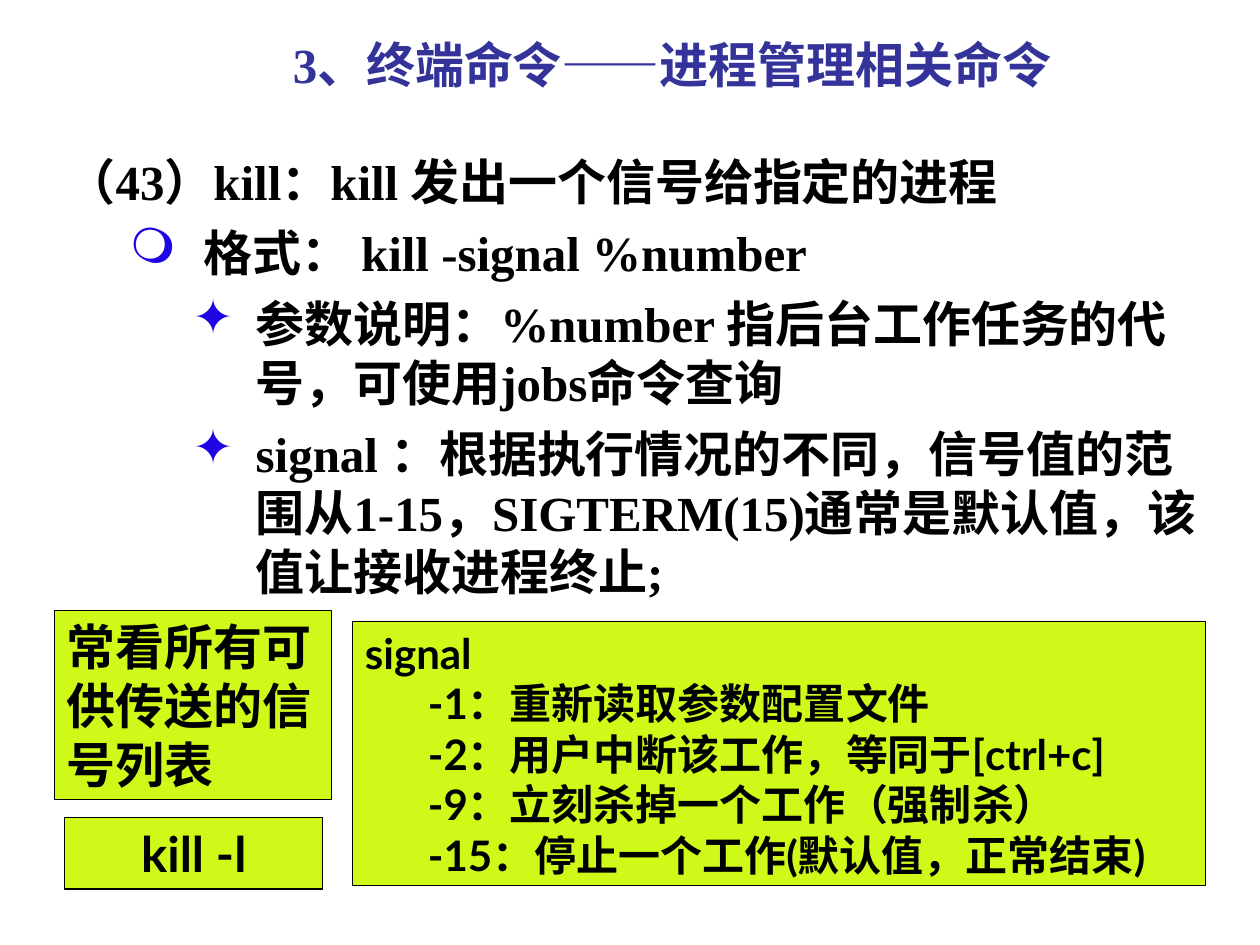
from pptx import Presentation, util as u
from pptx.dml.color import RGBColor
from pptx.enum import shapes, text
from pptx.oxml.ns import qn
from lxml import etree

THEME = {
    "title": "333399", "ink": "000000", "bullet": "1F05E3", "panel": "CEF919",
    "serif": "Times New Roman", "sans": "Lato",
    "large": 28, "small": 24, "gap": 7, "border": 0.75,
}

# Content: (level, text)
TITLE = [(0, "3、终端命令——进程管理相关命令")]
BODY = [
    (0, "（43）kill：kill 发出一个信号给指定的进程"),
    (1, "格式： kill -signal %number"),
    (2, "参数说明：%number 指后台工作任务的代号，可使用jobs命令查询"),
    (2, "signal ：根据执行情况的不同，信号值的范围从1-15，"
        "SIGTERM(15)通常是默认值，该值让接收进程终止;"),
]
SIGNALS = [
    (0, "signal"),
    (1, "-1：重新读取参数配置文件"),
    (1, "-2：用户中断该工作，等同于[ctrl+c]"),
    (1, "-9：立刻杀掉一个工作（强制杀）"),
    (1, "-15：停止一个工作(默认值，正常结束)"),
]
LIST_NOTE = [(0, "常看所有可供传送的信号列表")]
LIST_COMMAND = [(0, "kill -l")]

# Per level: left margin, first-line indent, bullet
BODY_LEVELS = [(42, -42, None), (78, -42, "❍"), (108, -36, "✦")]
PANEL_LEVELS = [(0, 0, None), (36, 0, None)]

# Boxes: left, top, width, height
TITLE_BOX = (48, 15, 672, 43)
BODY_BOX = (31, 83, 669, 385)
SIGNALS_BOX = (201.5, 355, 487.5, 151)
NOTE_BOX = (31, 349, 158.5, 108)
COMMAND_BOX = (37, 467, 147.5, 41)


def set_indent(paragraph, margin, indent, bullet):
    properties = paragraph._p.get_or_add_pPr()
    properties.set("marL", str(u.Pt(margin)))
    properties.set("indent", str(u.Pt(indent)))
    if bullet:
        color = etree.SubElement(properties, qn("a:buClr"))
        etree.SubElement(color, qn("a:srgbClr"), val=THEME["bullet"])
        etree.SubElement(properties, qn("a:buChar"), char=bullet)
    else:
        etree.SubElement(properties, qn("a:buNone"))


def write(shape, lines, levels=PANEL_LEVELS, font="sans", size="large", color="ink",
          align=text.PP_ALIGN.LEFT, anchor=text.MSO_ANCHOR.TOP, gap=0):
    frame = shape.text_frame
    frame.word_wrap = True
    frame.vertical_anchor = anchor
    for index, (level, words) in enumerate(lines):
        paragraph = frame.add_paragraph() if index else frame.paragraphs[0]
        set_indent(paragraph, *levels[level])
        paragraph.level = level
        paragraph.alignment = align
        paragraph.space_before = u.Pt(gap if index else 0)
        run = paragraph.add_run()
        run.text = words
        run.font.name = THEME[font]
        run.font.size = u.Pt(THEME[size])
        run.font.bold = True
        run.font.color.rgb = RGBColor.from_string(THEME[color])


def add_text(slide, box, lines, **style):
    write(slide.shapes.add_textbox(*map(u.Pt, box)), lines, **style)


def add_panel(slide, box, lines, **style):
    panel = slide.shapes.add_shape(shapes.MSO_SHAPE.RECTANGLE, *map(u.Pt, box))
    panel.shadow.inherit = False
    panel.fill.solid()
    panel.fill.fore_color.rgb = RGBColor.from_string(THEME["panel"])
    panel.line.color.rgb = RGBColor.from_string(THEME["ink"])
    panel.line.width = u.Pt(THEME["border"])
    write(panel, lines, **style)
    panel.text_frame.auto_size = text.MSO_AUTO_SIZE.SHAPE_TO_FIT_TEXT


def main():
    presentation = Presentation()
    presentation.slide_width, presentation.slide_height = u.Pt(720), u.Pt(540)
    slide = presentation.slides.add_slide(presentation.slide_layouts[6])

    # Title and command description
    add_text(slide, TITLE_BOX, TITLE, font="serif", color="title",
             align=text.PP_ALIGN.CENTER, anchor=text.MSO_ANCHOR.MIDDLE)
    add_text(slide, BODY_BOX, BODY, levels=BODY_LEVELS, font="serif", gap=THEME["gap"])

    # Panels with signal values and the listing command
    add_panel(slide, SIGNALS_BOX, SIGNALS, size="small")
    add_panel(slide, NOTE_BOX, LIST_NOTE)
    add_panel(slide, COMMAND_BOX, LIST_COMMAND, align=text.PP_ALIGN.CENTER)

    presentation.save("out.pptx")


if __name__ == "__main__":
    main()
